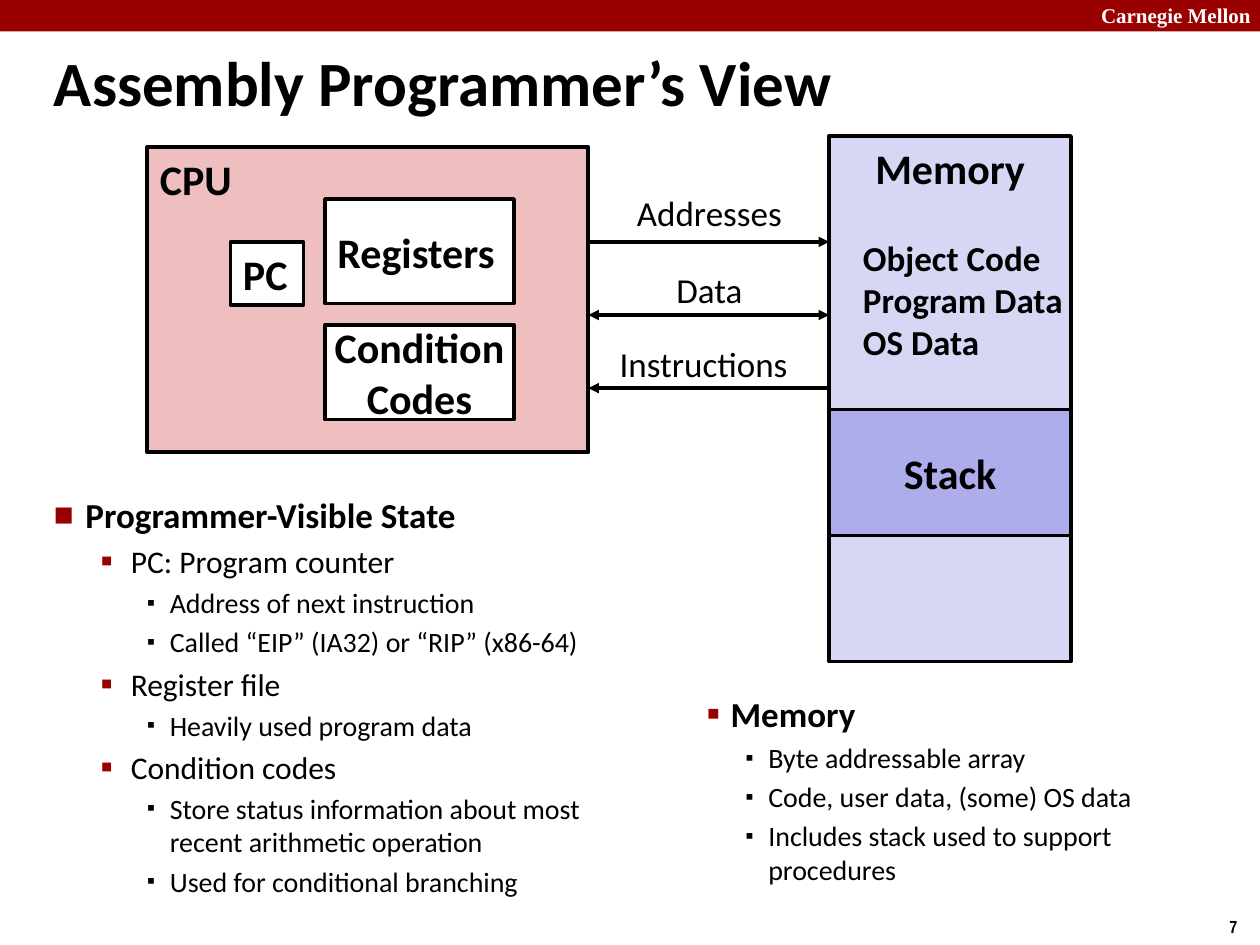
from dataclasses import dataclass

from lxml.etree import SubElement
from pptx import Presentation
from pptx.dml.color import RGBColor
from pptx.enum.shapes import MSO_CONNECTOR, MSO_SHAPE
from pptx.enum.text import MSO_ANCHOR, PP_ALIGN
from pptx.oxml.ns import qn
from pptx.util import Inches, Pt


@dataclass(frozen=True)
class Theme:
    font: str = "Calibri"
    banner_font: str = "Times New Roman"
    number_font: str = "Arial Narrow"
    black: str = "000000"
    white: str = "FFFFFF"
    red: str = "990000"
    cpu: str = "EFBFBF"
    memory: str = "D6D6F5"
    stack: str = "ADADEB"
    title: int = 36
    block: int = 24
    heading: int = 20
    topic: int = 18
    detail: int = 16
    banner: int = 12
    number: int = 10
    outline: float = 2
    thick_outline: float = 2.25


@dataclass(frozen=True)
class Level:
    size: int
    margin: float
    hanging: float
    bullet: str
    bullet_color: str
    bullet_percent: int
    bold: bool = False


class SlideBuilder:
    def __init__(self, slide, theme):
        self.slide = slide
        self.theme = theme

    def fill_text(self, frame, text, size, bold=False, color=None, font=None,
                  align=PP_ALIGN.LEFT, anchor=MSO_ANCHOR.TOP, wrap=True):
        frame.text = text
        frame.word_wrap = wrap
        frame.vertical_anchor = anchor
        for paragraph in frame.paragraphs:
            paragraph.alignment = align
            for run in paragraph.runs:
                self.style(run, size, bold, color, font)

    def style(self, run, size, bold=False, color=None, font=None):
        run.font.name = font or self.theme.font
        run.font.size = Pt(size)
        run.font.bold = bold
        run.font.color.rgb = RGBColor.from_string(color or self.theme.black)

    def text(self, box, text, size, **style):
        textbox = self.slide.shapes.add_textbox(*map(Inches, box))
        self.fill_text(textbox.text_frame, text, size, **style)

    def block(self, box, fill, text="", outline=None, **style):
        shape = self.slide.shapes.add_shape(MSO_SHAPE.RECTANGLE, *map(Inches, box))
        shape.shadow.inherit = False
        shape.fill.solid()
        shape.fill.fore_color.rgb = RGBColor.from_string(fill)
        if outline:
            shape.line.color.rgb = RGBColor.from_string(self.theme.black)
            shape.line.width = Pt(outline)
        else:
            shape.line.fill.background()
        if text:
            self.fill_text(shape.text_frame, text, self.theme.block, bold=True, **style)

    def arrow(self, left, right, y, ends):
        connector = self.slide.shapes.add_connector(
            MSO_CONNECTOR.STRAIGHT, Inches(left), Inches(y), Inches(right), Inches(y))
        connector.line.color.rgb = RGBColor.from_string(self.theme.black)
        connector.line.width = Pt(self.theme.outline)
        properties = connector._element.spPr
        line = properties.find(qn("a:ln"))
        for end in ends:
            SubElement(line, qn(f"a:{end}"), type="triangle")
        SubElement(properties, qn("a:effectLst"))

    def outline(self, box, items):
        frame = self.slide.shapes.add_textbox(*map(Inches, box)).text_frame
        frame.word_wrap = True
        frame.text = "\n".join(text for _, text in items)
        for index, (level, _) in enumerate(items):
            paragraph = frame.paragraphs[index]
            self.bullet(paragraph, level)
            if index:
                paragraph.space_before = Pt(level.size * 0.2)
            self.style(paragraph.runs[0], level.size, level.bold)

    def bullet(self, paragraph, level):
        properties = paragraph._p.get_or_add_pPr()
        properties.set("marL", str(Inches(level.margin)))
        properties.set("indent", str(-Inches(level.hanging)))
        color = SubElement(properties, qn("a:buClr"))
        SubElement(color, qn("a:srgbClr"), val=level.bullet_color)
        SubElement(properties, qn("a:buSzPct"), val=str(level.bullet_percent * 1000))
        SubElement(properties, qn("a:buFont"), typeface=self.theme.font)
        SubElement(properties, qn("a:buChar"), char=level.bullet)


def main():
    theme = Theme()
    presentation = Presentation()
    presentation.slide_width, presentation.slide_height = Inches(10), Inches(7.5)
    slide = presentation.slides.add_slide(presentation.slide_layouts[6])
    builder = SlideBuilder(slide, theme)

    # Banner, page number and title
    builder.block((0, 0, 10, 0.25), theme.red)
    builder.text((8.64, -0.03, 1.43, 0.3), "Carnegie Mellon", theme.banner,
                 bold=True, color=theme.white, font=theme.banner_font)
    builder.text((9.66, 7.22, 0.34, 0.27), "7", theme.number,
                 bold=True, font=theme.number_font, wrap=False)
    builder.text((0.33, 0.33, 7.9, 0.63), "Assembly Programmer’s View", theme.title,
                 bold=True, anchor=MSO_ANCHOR.MIDDLE)

    # CPU and its parts
    cpu_left, cpu_width = 1.17, 3.5
    builder.block((cpu_left, 1.17, cpu_width, 2.42), theme.cpu, "CPU",
                  outline=theme.thick_outline)
    cpu_parts = [
        ((1.83, 1.92, 0.58, 0.5), "PC", PP_ALIGN.LEFT),
        ((2.58, 1.58, 1.5, 0.83), "Registers", PP_ALIGN.LEFT),
        ((2.58, 2.58, 1.5, 0.75), "Condition\nCodes", PP_ALIGN.CENTER),
    ]
    for box, name, align in cpu_parts:
        builder.block(box, theme.white, name, outline=theme.outline, align=align,
                      anchor=MSO_ANCHOR.MIDDLE, wrap=False)

    # Memory with its contents and stack
    memory_left, memory_width = 6.58, 1.92
    builder.block((memory_left, 1.08, memory_width, 4.17), theme.memory, "Memory",
                  outline=theme.outline, align=PP_ALIGN.CENTER, wrap=False)
    builder.text((6.75, 1.83, memory_width, 1.11),
                 "Object Code\nProgram Data\nOS Data", theme.heading, bold=True)
    builder.block((memory_left, 3.25, memory_width, 1), theme.stack, "Stack",
                  outline=theme.outline, align=PP_ALIGN.CENTER,
                  anchor=MSO_ANCHOR.MIDDLE, wrap=False)

    # Traffic between CPU and memory
    cpu_right = cpu_left + cpu_width
    traffic = [
        ("Addresses", 1.47, 1.92, 1.92, ["tailEnd"]),
        ("Data", 2.08, 1.92, 2.5, ["headEnd", "tailEnd"]),
        ("Instructions", 2.67, 1.83, 3.08, ["headEnd"]),
    ]
    for name, label_top, label_width, arrow_y, ends in traffic:
        builder.arrow(cpu_right, memory_left, arrow_y, ends)
        builder.text((cpu_right, label_top, label_width, 0.43), name, theme.heading,
                     align=PP_ALIGN.CENTER)

    # Programmer-visible state
    heading = Level(theme.heading, 0.25, 0.25, "■", theme.red, 60, bold=True)
    topic = Level(theme.topic, 0.61, 0.24, "▪", theme.red, 110)
    detail = Level(theme.detail, 0.92, 0.18, "▪", theme.black, 80)
    builder.outline((0.33, 3.87, 4.77, 3.38), [
        (heading, "Programmer-Visible State"),
        (topic, "PC: Program counter"),
        (detail, "Address of next instruction"),
        (detail, "Called “EIP” (IA32) or “RIP” (x86-64)"),
        (topic, "Register file"),
        (detail, "Heavily used program data"),
        (topic, "Condition codes"),
        (detail, "Store status information about most recent arithmetic operation"),
        (detail, "Used for conditional branching"),
    ])

    # Memory notes
    memory_heading = Level(theme.heading, 0.32, 0.19, "▪", theme.red, 110, bold=True)
    memory_detail = Level(theme.detail, 0.62, 0.18, "▪", theme.black, 80)
    builder.outline((5.38, 5.45, 4.46, 1.72), [
        (memory_heading, "Memory"),
        (memory_detail, "Byte addressable array"),
        (memory_detail, "Code, user data, (some) OS data"),
        (memory_detail, "Includes stack used to support procedures"),
    ])

    presentation.save("out.pptx")


if __name__ == "__main__":
    main()
